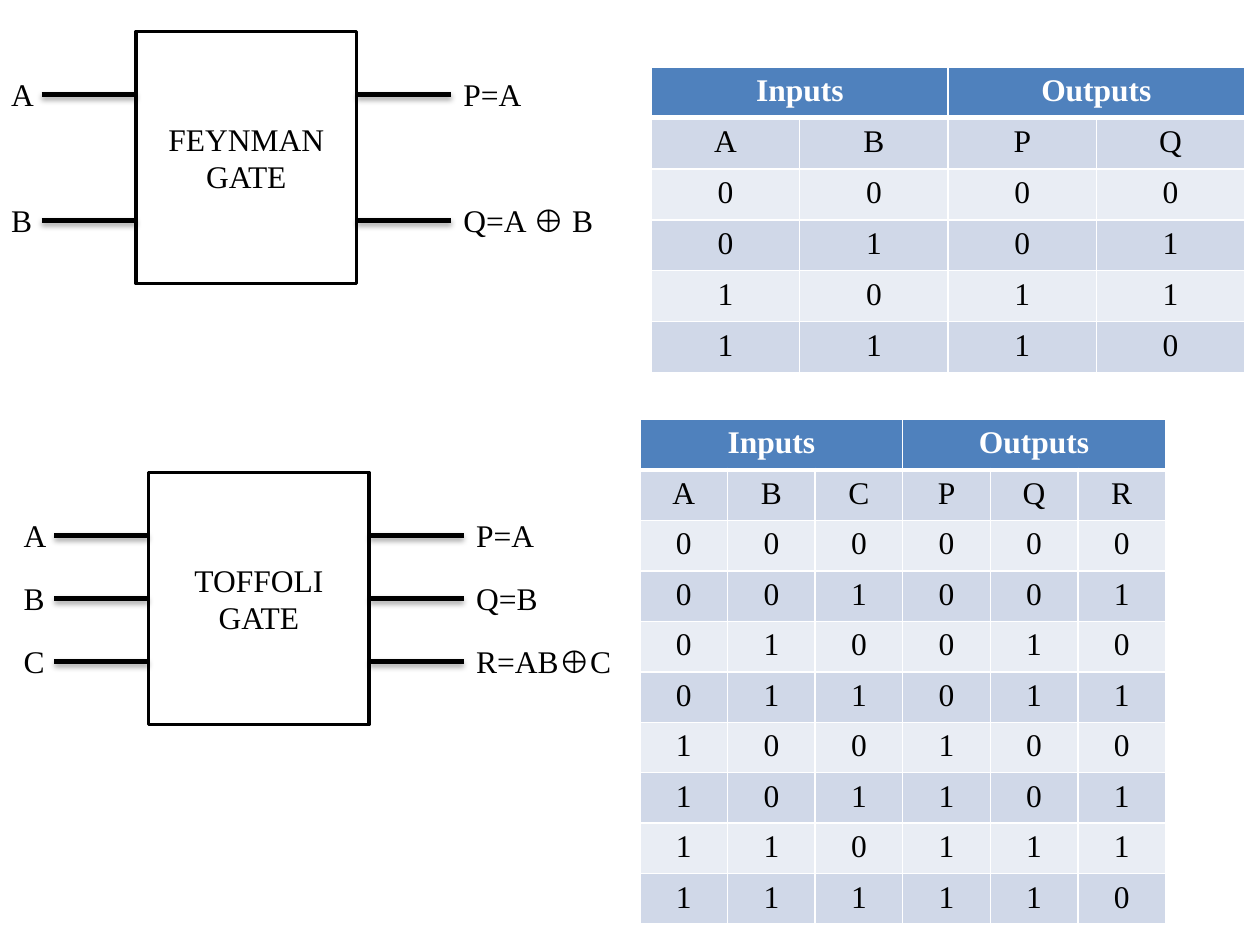
from dataclasses import dataclass
from itertools import product

from lxml.etree import SubElement
from pptx import Presentation
from pptx.dml.color import RGBColor
from pptx.enum.shapes import MSO_CONNECTOR, MSO_SHAPE
from pptx.enum.text import MSO_ANCHOR, MSO_AUTO_SIZE, PP_ALIGN
from pptx.oxml import parse_xml
from pptx.oxml.ns import nsdecls, qn
from pptx.util import Inches, Pt


@dataclass(frozen=True)
class Theme:
    """Colours, font and sizes of the slide."""
    font: str = "Times New Roman"
    size: int = 18
    ink: str = "000000"
    paper: str = "FFFFFF"
    header: str = "4F81BD"
    bands: tuple = ("E9EDF4", "D0D8E8")
    gate_line: float = 2
    wire_line: float = 3
    rule: float = 1
    header_rule: float = 3


THEME = Theme()
GATE_WIDTH, GATE_HEIGHT, WIRE_LENGTH = 1.75, 2, 0.75
XOR = "⊕"


def write_text(frame, text, color=THEME.ink, bold=False, align=PP_ALIGN.LEFT):
    """Write one paragraph, setting the XOR sign in bold."""
    paragraph = frame.paragraphs[0]
    paragraph.alignment = align
    for part in filter(None, text.partition(XOR)):
        run = paragraph.add_run()
        run.text = part
        run.font.name = THEME.font
        run.font.size = Pt(THEME.size)
        run.font.bold = bold or part == XOR
        run.font.color.rgb = RGBColor.from_string(color)


def add_gate_box(group, name, left, top):
    """Draw the named gate rectangle."""
    gate = group.shapes.add_shape(
        MSO_SHAPE.RECTANGLE, Inches(left), Inches(top),
        Inches(GATE_WIDTH), Inches(GATE_HEIGHT))
    gate.shadow.inherit = False
    gate.fill.solid()
    gate.fill.fore_color.rgb = RGBColor.from_string(THEME.paper)
    gate.line.color.rgb = RGBColor.from_string(THEME.ink)
    gate.line.width = Pt(THEME.gate_line)
    gate.text_frame.word_wrap = True
    gate.text_frame.vertical_anchor = MSO_ANCHOR.MIDDLE
    write_text(gate.text_frame, name, align=PP_ALIGN.CENTER)
    return gate


def add_wire(group, left, y):
    """Draw a horizontal wire with a soft shadow below it."""
    wire = group.shapes.add_connector(
        MSO_CONNECTOR.STRAIGHT, Inches(left), Inches(y),
        Inches(left + WIRE_LENGTH), Inches(y))
    wire.line.color.rgb = RGBColor.from_string(THEME.ink)
    wire.line.width = Pt(THEME.wire_line)
    wire.line._get_or_add_ln().addnext(parse_xml(
        f'<a:effectLst {nsdecls("a")}><a:outerShdw blurRad="40000" dist="23000"'
        f' dir="5400000" rotWithShape="0"><a:srgbClr val="{THEME.ink}">'
        '<a:alpha val="35000"/></a:srgbClr></a:outerShdw></a:effectLst>'))
    return wire


def add_label(group, text, left, y, width):
    """Place a signal name centred on the height of its wire."""
    label = group.shapes.add_textbox(
        Inches(left), Inches(y - 0.2), Inches(width), Inches(0.4))
    label.text_frame.word_wrap = False
    label.text_frame.auto_size = MSO_AUTO_SIZE.SHAPE_TO_FIT_TEXT
    write_text(label.text_frame, text)


def add_gate(slide, name, left, top, signals):
    """Draw a gate whose signals map an input to an output and its width."""
    group = slide.shapes.add_group_shape()
    gate = add_gate_box(group, name, left, top)
    right = left + GATE_WIDTH
    gap = 1 / (len(signals) - 1)
    for index, (source, result, result_width) in enumerate(signals):
        y = top + 0.5 + index * gap
        input_wire = add_wire(group, left - WIRE_LENGTH, y)
        output_wire = add_wire(group, right, y)
        if y == top + GATE_HEIGHT / 2:
            input_wire.end_connect(gate, 1)
            output_wire.begin_connect(gate, 3)
        add_label(group, source, left - 1.09, y, 0.37)
        add_label(group, result, right + WIRE_LENGTH, y, result_width)


def set_borders(cell, top, bottom):
    """Give a cell white borders with the given top and bottom weights."""
    properties = cell._tc.get_or_add_tcPr()
    weights = {"L": THEME.rule, "R": THEME.rule, "T": top, "B": bottom}
    for side, weight in weights.items():
        border = SubElement(properties, qn(f"a:ln{side}"), w=str(Pt(weight)))
        fill = SubElement(border, qn("a:solidFill"))
        SubElement(fill, qn("a:srgbClr"), val=THEME.paper)


def fill_cell(cell, text, row):
    """Format one truth table cell according to its row."""
    is_header = row == 0
    set_borders(cell,
                THEME.header_rule if row == 1 else THEME.rule,
                THEME.header_rule if is_header else THEME.rule)
    cell.fill.solid()
    cell.fill.fore_color.rgb = RGBColor.from_string(
        THEME.header if is_header else THEME.bands[row % 2])
    if text:
        write_text(cell.text_frame, text, bold=is_header, align=PP_ALIGN.CENTER,
                   color=THEME.paper if is_header else THEME.ink)


def add_truth_table(slide, names, evaluate, left, top, width, height):
    """Tabulate a gate function for every combination of its inputs."""
    count = len(names) // 2
    blanks = [""] * (count - 1)
    rows = [["Inputs", *blanks, "Outputs", *blanks], list(names)]
    rows += [[str(bit) for bit in (*bits, *evaluate(*bits))]
             for bits in product((0, 1), repeat=count)]
    table = slide.shapes.add_table(
        len(rows), len(names), Inches(left), Inches(top),
        Inches(width), Inches(height)).table
    for start in (0, count):
        table.cell(0, start).merge(table.cell(0, start + count - 1))
    for row, texts in enumerate(rows):
        for column, text in enumerate(texts):
            fill_cell(table.cell(row, column), text, row)


def feynman(a, b):
    """Return the outputs of the Feynman gate."""
    return a, a ^ b


def toffoli(a, b, c):
    """Return the outputs of the Toffoli gate."""
    return a, b, (a & b) ^ c


def main():
    """Build the slide with both gates and their truth tables."""
    presentation = Presentation()
    presentation.slide_width = Inches(10)
    presentation.slide_height = Inches(7.5)
    slide = presentation.slides.add_slide(presentation.slide_layouts[6])
    add_gate(slide, "FEYNMAN GATE", 1.08, 0.25,
             [("A", "P=A", 0.67), ("B", "Q=A ⊕ B", 1.25)])
    add_gate(slide, "TOFFOLI GATE", 1.18, 3.75,
             [("A", "P=A", 0.67), ("B", "Q=B", 0.69), ("C", "R=AB⊕C", 1.28)])
    add_truth_table(slide, "ABPQ", feynman, 5.17, 0.53, 4.71, 2.43)
    add_truth_table(slide, "ABCPQR", toffoli, 5.08, 3.33, 4.17, 4)
    presentation.save("out.pptx")


if __name__ == "__main__":
    main()
